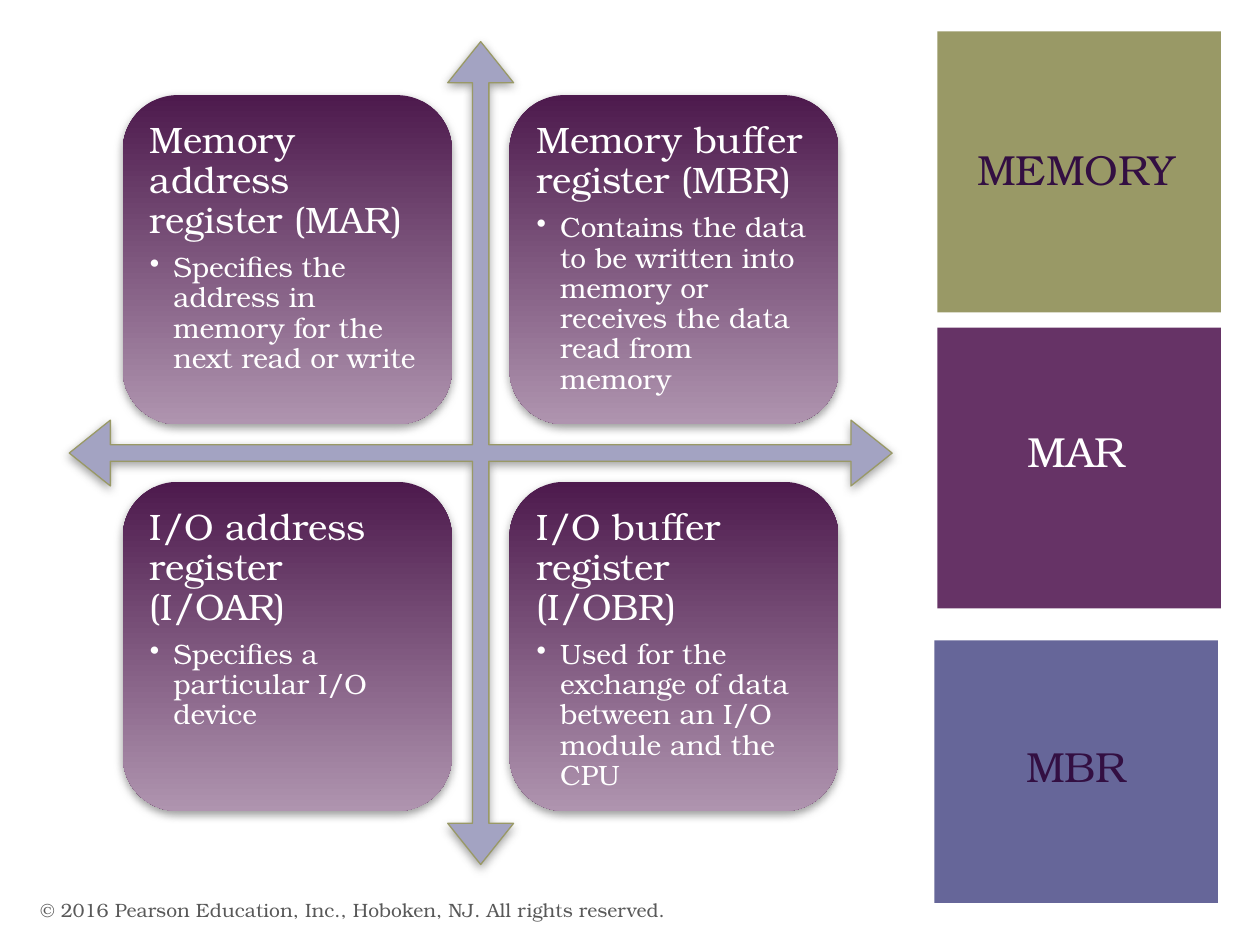
from lxml.etree import SubElement
from pptx import Presentation
from pptx.dml.color import RGBColor
from pptx.enum.shapes import MSO_SHAPE
from pptx.enum.text import MSO_ANCHOR, PP_ALIGN
from pptx.oxml.ns import qn
from pptx.util import Pt

FONT = "TeX Gyre Bonum"
CARDS = [
    ("Memory address register (MAR)",
     "Specifies the address in memory for the next read or write"),
    ("Memory buffer register (MBR)",
     "Contains the data to be written into memory or receives the data read from memory"),
    ("I/O address register (I/OAR)",
     "Specifies a particular I/O device"),
    ("I/O buffer register (I/OBR)",
     "Used for the exchange of data between an I/O module and the CPU"),
]
# label, text colour, fill, tile left, top, height, label top, label height, anchor
TILES = [
    ("MEMORY", "330F42", "999966", 535.6, 18, 160.5, 48.2, 66.2, MSO_ANCHOR.BOTTOM),
    ("MAR", "FFFFFF", "663366", 535.6, 187.2, 160.5, 239.8, 36, MSO_ANCHOR.TOP),
    ("MBR", "330F42", "666699", 534, 366, 150, 419.8, 36, MSO_ANCHOR.TOP),
]


def color(text):
    return RGBColor.from_string(text)


def style(para, size, tint):
    font = para.font
    font.name, font.size = FONT, Pt(size)
    font.color.rgb = color(tint)


def add_shadow(shape):
    """Give the shape a soft grey shadow straight below it."""
    shape.shadow.inherit = False
    effects = shape.element.spPr.find(qn("a:effectLst"))
    outer = SubElement(effects, qn("a:outerShdw"), blurRad=str(Pt(5)),
                       dist=str(Pt(2)), dir="5400000", rotWithShape="0")
    tint = SubElement(outer, qn("a:srgbClr"), val="808080")
    SubElement(tint, qn("a:alpha"), val="75000")


def add_bullet(para, indent):
    props = para._p.get_or_add_pPr()
    props.set("marL", str(Pt(indent)))
    props.set("indent", str(-Pt(indent)))
    SubElement(props, qn("a:buChar"), char="•")


def add_label(slide, text, box, size, tint, anchor, align=PP_ALIGN.LEFT):
    frame = slide.shapes.add_textbox(*map(Pt, box)).text_frame
    frame.word_wrap = True
    frame.vertical_anchor = anchor
    frame.text = text
    para = frame.paragraphs[0]
    para.alignment = align
    style(para, size, tint)


def add_card(slide, head, body, left, top, side):
    card = slide.shapes.add_shape(MSO_SHAPE.ROUNDED_RECTANGLE,
                                  Pt(left), Pt(top), Pt(side), Pt(side))
    card.fill.gradient()
    card.fill.gradient_angle = 270
    for stop, tint, place in zip(card.fill.gradient_stops, ("4D1A4D", "AF94AF"), (0, 1)):
        stop.color.rgb = color(tint)
        stop.position = place
    card.line.fill.background()
    add_shadow(card)

    frame = card.text_frame
    frame.word_wrap = True
    frame.vertical_anchor = MSO_ANCHOR.TOP
    frame.margin_left = frame.margin_right = Pt(6.3)
    frame.margin_top = frame.margin_bottom = Pt(6.3)
    frame.text = head + "\n" + body
    title, item = frame.paragraphs
    item.level = 1
    for para, size, after in ((title, 21, 7), (item, 16, 2.5)):
        para.alignment = PP_ALIGN.LEFT
        para.line_spacing = 0.9
        para.space_before = Pt(0)
        para.space_after = Pt(after)
    add_bullet(item, 13.5)
    style(title, 21, "FFFFFF")
    style(item, 16, "FFFFFF")


def add_matrix(slide, left, top, side):
    """Place a four-way arrow with one card in each quarter."""
    cross = slide.shapes.add_shape(MSO_SHAPE.QUAD_ARROW,
                                   Pt(left), Pt(top), Pt(side), Pt(side))
    for index, value in enumerate((0.02, 0.04, 0.05)):
        cross.adjustments[index] = value
    cross.fill.solid()
    cross.fill.fore_color.rgb = color("A3A3C2")
    cross.line.color.rgb = color("999966")
    cross.line.width = Pt(0.75)
    add_shadow(cross)

    inset, size = side * 0.065, side * 0.4
    step = side - 2 * inset - size
    for index, (head, body) in enumerate(CARDS):
        row, col = divmod(index, 2)
        add_card(slide, head, body, left + inset + col * step,
                 top + inset + row * step, size)


def add_tiles(slide, left, width):
    for text, ink, fill, x, y, high, top, tall, anchor in TILES:
        tile = slide.shapes.add_shape(MSO_SHAPE.RECTANGLE,
                                      Pt(x), Pt(y), Pt(width), Pt(high))
        tile.shadow.inherit = False
        tile.fill.solid()
        tile.fill.fore_color.rgb = color(fill)
        tile.line.fill.background()
        add_label(slide, text, (left, top, width, tall), 24, ink, anchor, PP_ALIGN.CENTER)


def main():
    deck = Presentation()
    deck.slide_width, deck.slide_height = Pt(720), Pt(540)
    slide = deck.slides.add_slide(deck.slide_layouts[6])
    add_matrix(slide, 39.6, 23.8, 470.2)
    add_tiles(slide, 534, 162)
    add_label(slide, "© 2016 Pearson Education, Inc., Hoboken, NJ. All rights reserved.",
              (16, 505.5, 482, 28.8), 11, "595959", MSO_ANCHOR.MIDDLE)
    deck.save("out.pptx")


if __name__ == "__main__":
    main()
